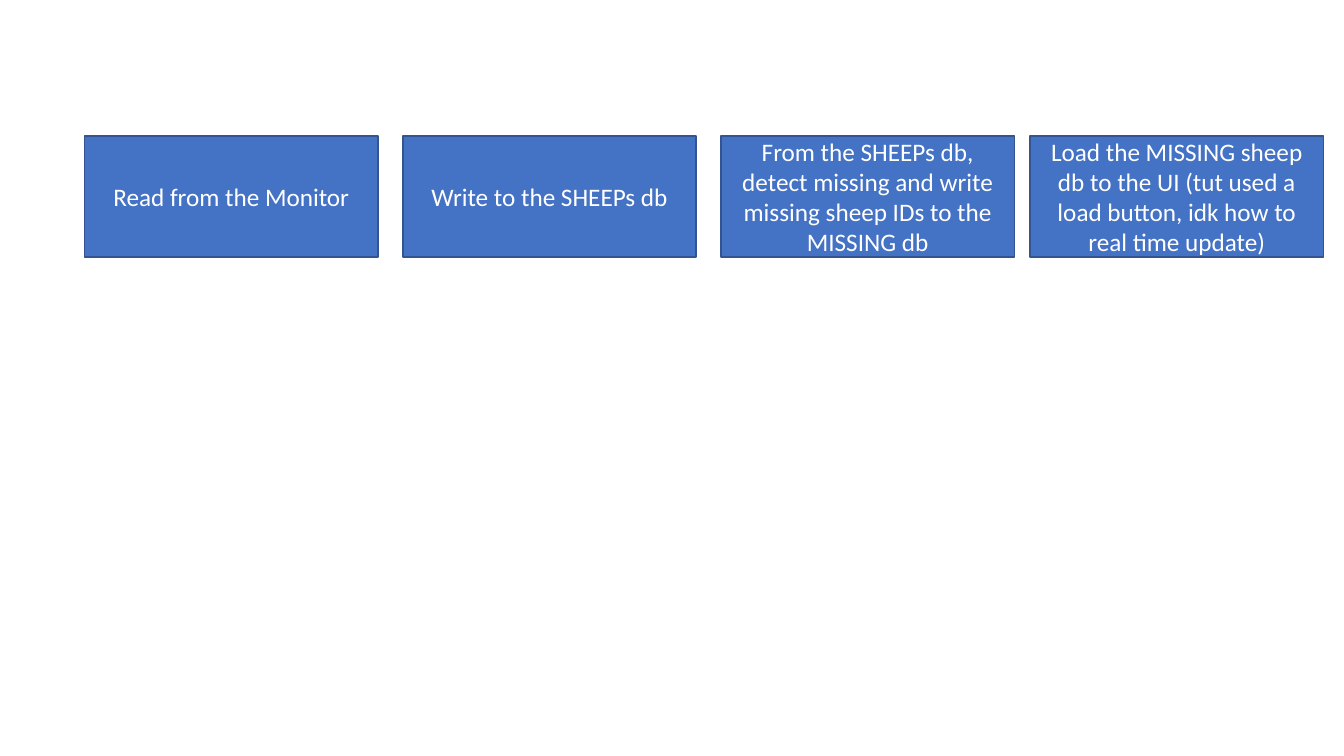
import dataclasses

import pptx
import pptx.dml.color
import pptx.enum.shapes
import pptx.enum.text
import pptx.slide
import pptx.util

Pt = pptx.util.Pt
BLUE = pptx.dml.color.RGBColor(0x44, 0x72, 0xC4)
NAVY = pptx.dml.color.RGBColor(0x32, 0x54, 0x91)
WHITE = pptx.dml.color.RGBColor(0xFF, 0xFF, 0xFF)

TOP, WIDTH, HEIGHT = 97.2, 209.5, 86.4
FONT = {"name": "Calibri", "size": Pt(18)}
FRAME = {"word_wrap": True, "vertical_anchor": pptx.enum.text.MSO_ANCHOR.MIDDLE}


@dataclasses.dataclass(frozen=True)
class Step:
    left: float
    text: str


STEPS = [
    Step(60.5, "Read from the Monitor"),
    Step(287.75, "Write to the SHEEPs db"),
    Step(515, "From the SHEEPs db, detect missing and write missing sheep IDs to the MISSING db"),
    Step(735.8, "Load the MISSING sheep db to the UI (tut used a load button, idk how to real time update)"),
]


def style(target: object, values: dict[str, object]) -> None:
    for name, value in values.items():
        setattr(target, name, value)


def draw(slide: pptx.slide.Slide, step: Step) -> None:
    box = slide.shapes.add_shape(
        pptx.enum.shapes.MSO_SHAPE.RECTANGLE,
        Pt(step.left), Pt(TOP), Pt(WIDTH), Pt(HEIGHT),
    )
    box.shadow.inherit = False
    box.fill.solid()
    box.fill.fore_color.rgb = BLUE
    box.line.color.rgb = NAVY
    box.line.width = Pt(1)
    style(box.text_frame, FRAME)
    para = box.text_frame.paragraphs[0]
    para.alignment = pptx.enum.text.PP_ALIGN.CENTER
    run = para.add_run()
    run.text = step.text
    style(run.font, FONT)
    run.font.color.rgb = WHITE


def main() -> None:
    deck = pptx.Presentation()
    style(deck, {"slide_width": Pt(960), "slide_height": Pt(540)})
    slide = deck.slides.add_slide(deck.slide_layouts.get_by_name("Blank"))
    for step in STEPS:
        draw(slide, step)
    deck.save("out.pptx")


if __name__ == "__main__":
    main()
